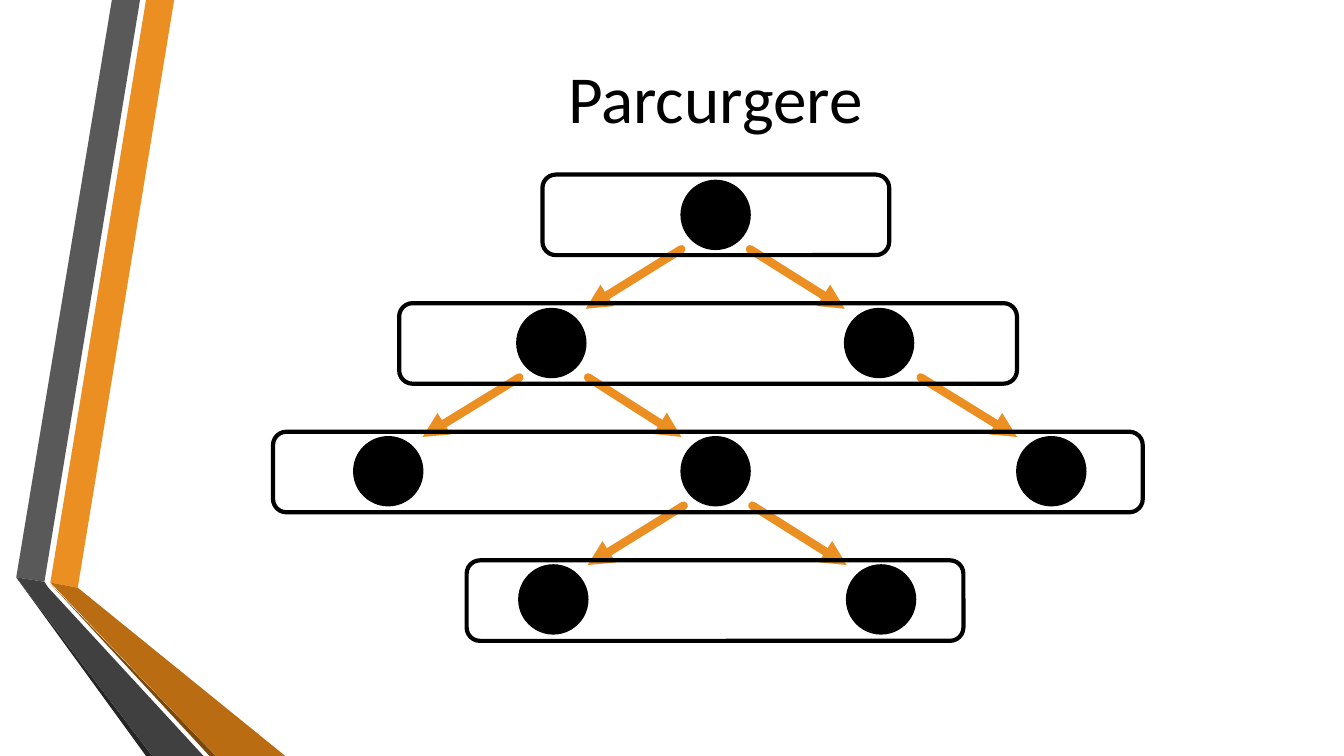
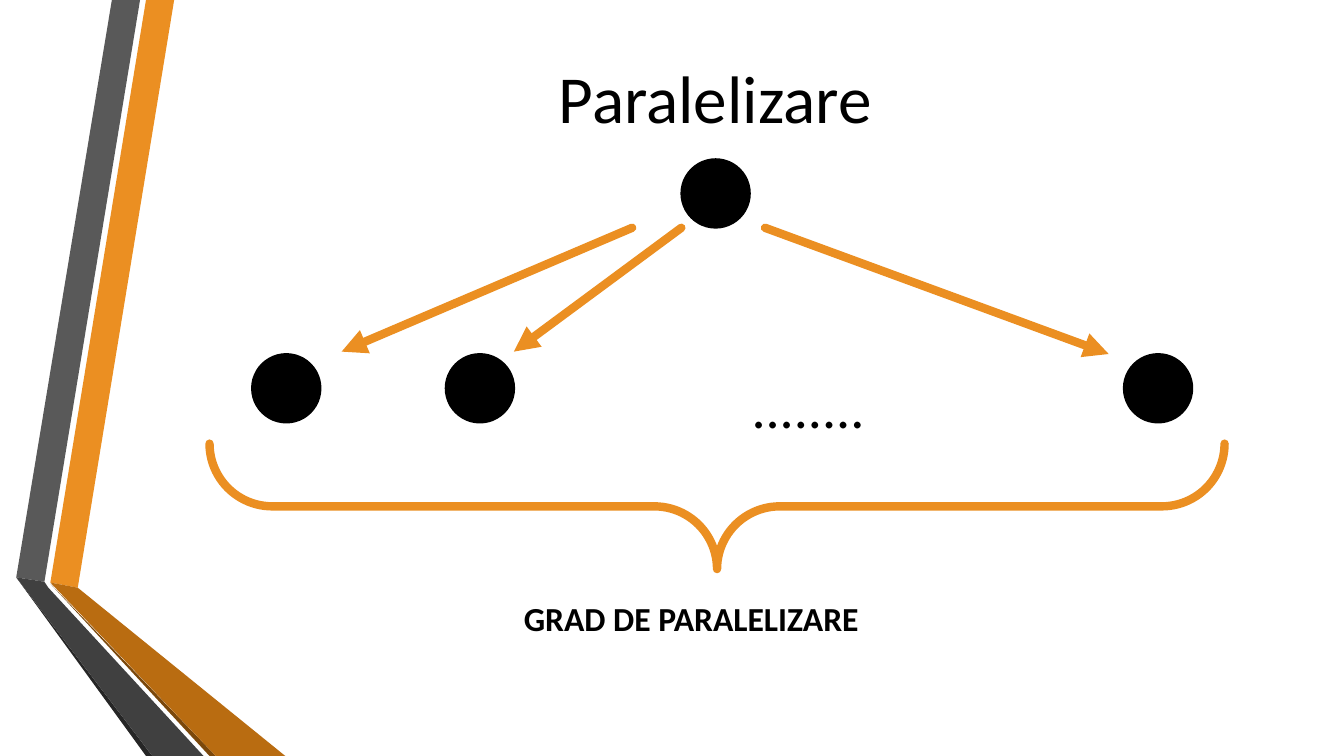
from typing import NamedTuple

from lxml import etree
from pptx import Presentation
from pptx.dml.color import RGBColor
from pptx.enum.shapes import MSO_CONNECTOR, MSO_SHAPE
from pptx.enum.text import MSO_ANCHOR, PP_ALIGN
from pptx.oxml.ns import qn
from pptx.shapes.autoshape import Shape
from pptx.slide import Slide
from pptx.util import Cm, Pt

STRAIGHT = MSO_CONNECTOR.STRAIGHT
OVAL = MSO_SHAPE.OVAL
ROUNDED = MSO_SHAPE.ROUNDED_RECTANGLE
BRACE = MSO_SHAPE.RIGHT_BRACE
LEFT, CENTER = PP_ALIGN.LEFT, PP_ALIGN.CENTER
TOP, MIDDLE = MSO_ANCHOR.TOP, MSO_ANCHOR.MIDDLE

BLACK = RGBColor(0x00, 0x00, 0x00)
ORANGE = RGBColor(0xEB, 0x8F, 0x22)
DARK_ORANGE = RGBColor(0xB9, 0x6C, 0x11)
BROWN = RGBColor(0x7B, 0x48, 0x0B)
GRAY = RGBColor(0x59, 0x59, 0x59)
DARK_GRAY = RGBColor(0x40, 0x40, 0x40)
CHARCOAL = RGBColor(0x26, 0x26, 0x26)

FONT = "Calibri"
SLIDE_WIDTH, SLIDE_HEIGHT = 33.87, 19.05
NODE_SIZE = 1.73
THICK = 6


# All lengths below are in centimetres
class Point(NamedTuple):
    x: float
    y: float


class Box(NamedTuple):
    left: float
    top: float
    width: float
    height: float


class Band(NamedTuple):
    color: RGBColor
    corners: list[tuple[float, float]]


class Level(NamedTuple):
    box_left: float
    box_width: float
    node_lefts: list[float]


class Edge(NamedTuple):
    level: int
    parent: int
    child: int
    shift: float


BANDS = [
    Band(ORANGE, [(1.27, 14.68), (1.96, 14.81), (4.39, 0), (3.68, 0)]),
    Band(GRAY, [(3.53, 0), (2.82, 0), (0.41, 14.55), (1.12, 14.66)]),
    Band(CHARCOAL, [(0.41, 14.55), (3.68, SLIDE_HEIGHT), (3.84, SLIDE_HEIGHT)]),
    Band(BROWN, [(1.27, 14.71), (5.28, SLIDE_HEIGHT), (5.44, SLIDE_HEIGHT)]),
    Band(DARK_ORANGE, [(1.27, 14.68), (5.44, SLIDE_HEIGHT),
                       (7.19, SLIDE_HEIGHT), (1.96, 14.81)]),
    Band(DARK_GRAY, [(5.13, SLIDE_HEIGHT), (1.22, 14.81), (1.12, 14.66),
                     (0.41, 14.55), (3.84, SLIDE_HEIGHT)]),
]

LEVELS = [
    Level(13.67, 8.74, [17.17]),
    Level(10.06, 15.57, [13.03, 21.29]),
    Level(6.88, 21.92, [8.92, 17.17, 25.63]),
    Level(11.76, 12.52, [13.08, 21.34]),
]
EDGES = [
    Edge(0, 0, 0, 0), Edge(0, 0, 1, 0),
    Edge(1, 0, 0, 0.06), Edge(1, 0, 1, 0.06), Edge(1, 1, 2, 0.18),
    Edge(2, 1, 0, 0.06), Edge(2, 1, 1, 0.06),
]
FIRST_NODE_TOP, NODE_PITCH = 4.55, 3.23
FIRST_BOX_TOP, BOX_PITCH, BOX_HEIGHT = 4.4, 3.24, 2.03

ROOT = Point(17.17, 4.01)
WORKERS = [Point(left, 8.92) for left in (6.35, 11.23, 28.32)]
WORKER_ARROWS = [
    (Point(19.28, 5.74), Point(27.94, 8.92)),
    (Point(17.17, 5.74), Point(12.95, 8.86)),
    (Point(15.93, 5.74), Point(8.61, 8.86)),
]
BRACE_CENTER = Point(18.07, 12.76)
BRACE_SPAN, BRACE_DEPTH = 25.58, 3.16


def add_outline(slide: Slide, kind: int, box: Box, color: RGBColor,
                weight: float) -> Shape:
    shape = slide.shapes.add_shape(kind, *map(Cm, box))
    shape.shadow.inherit = False
    shape.fill.background()
    shape.line.color.rgb = color
    shape.line.width = Pt(weight)
    return shape


def add_node(slide: Slide, corner: Point) -> None:
    node = add_outline(slide, OVAL, Box(*corner, NODE_SIZE, NODE_SIZE), BLACK, 1.25)
    node.fill.solid()
    node.fill.fore_color.rgb = BLACK


def add_arrow(slide: Slide, start: Point, end: Point) -> None:
    arrow = slide.shapes.add_connector(STRAIGHT, *map(Cm, (*start, *end)))
    arrow.line.color.rgb = ORANGE
    arrow.line.width = Pt(THICK)
    line = arrow.line._get_or_add_ln()
    line.set("cap", "rnd")
    etree.SubElement(line, qn("a:round"))
    etree.SubElement(line, qn("a:tailEnd"), type="triangle")
    etree.SubElement(arrow._element.spPr, qn("a:effectLst"))


def add_text(slide: Slide, text: str, box: Box, size: float, bold: bool = False,
             align: int = LEFT, anchor: int = TOP) -> None:
    frame = slide.shapes.add_textbox(*map(Cm, box)).text_frame
    frame.word_wrap = True
    frame.vertical_anchor = anchor
    frame.text = text
    paragraph = frame.paragraphs[0]
    paragraph.alignment = align
    font = paragraph.runs[0].font
    font.name, font.size, font.bold = FONT, Pt(size), bold
    font.color.rgb = BLACK


def add_band(slide: Slide, band: Band) -> None:
    start, *others = [(Cm(x), Cm(y)) for x, y in band.corners]
    builder = slide.shapes.build_freeform(*start)
    builder.add_line_segments(others, close=True)
    shape = builder.convert_to_shape()
    shape.shadow.inherit = False
    shape.fill.solid()
    shape.fill.fore_color.rgb = band.color
    shape.line.fill.background()


def add_titled_slide(deck: Presentation, title: str) -> Slide:
    slide = deck.slides.add_slide(deck.slide_layouts[6])
    for band in BANDS:
        add_band(slide, band)
    add_text(slide, title, Box(4.11, 0, 27.84, 4.88), 48, align=CENTER, anchor=MIDDLE)
    return slide


def node_corner(level: int, index: int) -> Point:
    return Point(LEVELS[level].node_lefts[index], FIRST_NODE_TOP + level * NODE_PITCH)


def add_edge(slide: Slide, edge: Edge) -> None:
    parent = node_corner(edge.level, edge.parent)
    child = node_corner(edge.level + 1, edge.child)
    goes_left = child.x < parent.x
    start_x = parent.x + edge.shift + (0 if goes_left else NODE_SIZE)
    end_x = child.x + (NODE_SIZE if goes_left else 0)
    add_arrow(slide, Point(start_x, parent.y + NODE_SIZE), Point(end_x, child.y))


def build_traversal(deck: Presentation) -> None:
    slide = add_titled_slide(deck, "Parcurgere")
    # Tree
    for depth, level in enumerate(LEVELS):
        for index in range(len(level.node_lefts)):
            add_node(slide, node_corner(depth, index))
    for edge in EDGES:
        add_edge(slide, edge)
    # Frames around the levels
    for depth, level in enumerate(LEVELS):
        box = Box(level.box_left, FIRST_BOX_TOP + depth * BOX_PITCH,
                  level.box_width, BOX_HEIGHT)
        add_outline(slide, ROUNDED, box, BLACK, 3)


def build_parallel(deck: Presentation) -> None:
    slide = add_titled_slide(deck, "Paralelizare")
    # Root and workers
    for corner in [ROOT, *WORKERS]:
        add_node(slide, corner)
    # Brace, turned so that its tip points down
    brace_box = Box(BRACE_CENTER.x - BRACE_DEPTH / 2, BRACE_CENTER.y - BRACE_SPAN / 2,
                    BRACE_DEPTH, BRACE_SPAN)
    brace = add_outline(slide, BRACE, brace_box, ORANGE, THICK)
    brace.adjustments[0] = 0.5
    brace.rotation = 90
    brace.line._get_or_add_ln().set("cap", "rnd")
    for start, end in WORKER_ARROWS:
        add_arrow(slide, start, end)
    # Labels
    add_text(slide, "........", Box(18.69, 9.25, 9.63, 1.96), 40)
    add_text(slide, "GRAD DE PARALELIZARE", Box(12.95, 14.94, 13.06, 1.27), 24, bold=True)


def main() -> None:
    deck = Presentation()
    deck.slide_width, deck.slide_height = Cm(SLIDE_WIDTH), Cm(SLIDE_HEIGHT)
    build_traversal(deck)
    build_parallel(deck)
    deck.save("out.pptx")


if __name__ == "__main__":
    main()
